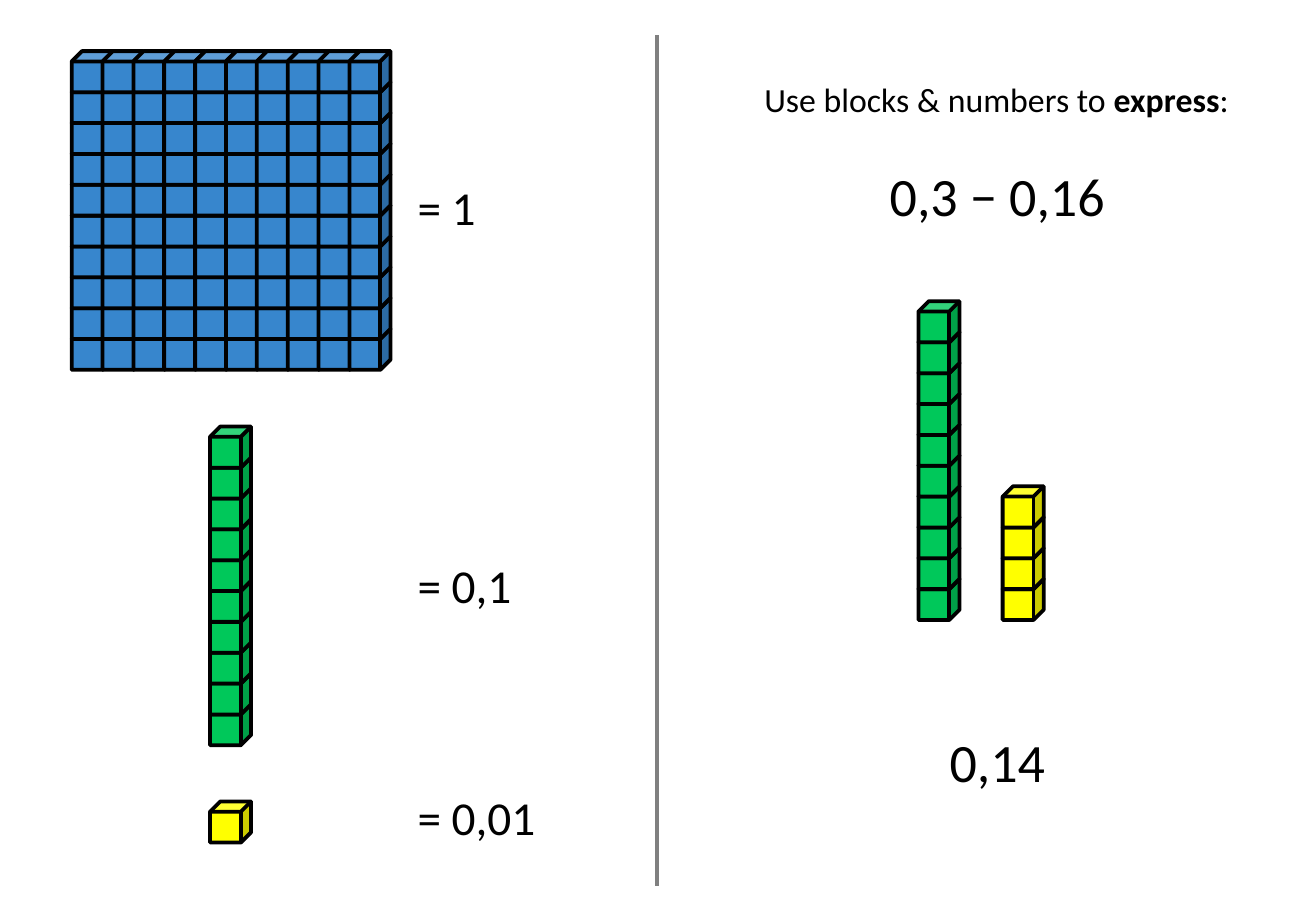
from pptx import Presentation
from pptx.dml.color import RGBColor
from pptx.enum.shapes import MSO_CONNECTOR, MSO_SHAPE
from pptx.enum.text import MSO_ANCHOR, MSO_AUTO_SIZE, PP_ALIGN
from pptx.oxml.ns import qn
from pptx.util import Cm, Pt
from lxml.etree import SubElement

COLOURS = {
    "one": "3786CD",
    "tenth": "00C85A",
    "hundredth": "FFFF00",
    "ink": "000000",
    "divider": "808080",
}
CUBE = 0.86
FACE = CUBE * 0.75  # the front face of a cube, and so the step between cubes
ROD_LEFT, ROD_TOP = 19.2, 6.3
LABEL_LEFT = 8.48


def colour(name):
    return RGBColor.from_string(COLOURS[name])


def write(box, *spans, place, size, align=PP_ALIGN.LEFT):
    """Place a text box and fill it with (text, bold) spans."""
    box.left, box.top, box.width, box.height = map(Cm, place)
    frame = box.text_frame
    frame.word_wrap = False
    frame.auto_size = MSO_AUTO_SIZE.SHAPE_TO_FIT_TEXT
    frame.vertical_anchor = MSO_ANCHOR.TOP
    para = frame.paragraphs[0]
    para.alignment = align
    for text, bold in spans:
        span = para.add_run()
        span.text = text
        span.font.name = "Calibri"
        span.font.size = Pt(size)
        span.font.bold = bold
        span.font.color.rgb = colour("ink")


deck = Presentation()
deck.slide_width, deck.slide_height = Cm(27.51), Cm(19.05)
page = deck.slides.add_slide(deck.slide_layouts[5])

write(page.shapes.title, ("Use blocks & numbers to ", False), ("express", True), (":", False),
      place=(15.7, 1.52, 10.26, 1.12), size=20, align=PP_ALIGN.CENTER)

# Blocks: value, left, top, columns, rows
blocks = [
    ("one", 1.5, 1.07, 10, 10),
    ("tenth", 4.39, 8.92, 1, 10),
    ("hundredth", 4.39, 16.76, 1, 1),
    ("tenth", ROD_LEFT, ROD_TOP, 1, 10),
    ("hundredth", 20.96, ROD_TOP + 6 * FACE, 1, 4),
]
for value, left, top, columns, rows in blocks:
    single = columns * rows == 1
    shapes = page.shapes if single else page.shapes.add_group_shape().shapes
    # Left to right and bottom to top, so that each cube covers the last one's hidden sides
    for column in range(columns):
        for row in reversed(range(rows)):
            cube = shapes.add_shape(MSO_SHAPE.CUBE, Cm(left + column * FACE),
                                    Cm(top + row * FACE), Cm(CUBE), Cm(CUBE))
            cube.shadow.inherit = False
            cube.fill.solid()
            cube.fill.fore_color.rgb = colour(value)
            cube.line.color.rgb = colour("ink")
            cube.line.width = Pt(2.25)

# Values of the blocks, then the task and its answer
texts = [
    ("= 1", (LABEL_LEFT, 3.61, 1.75, 1.45), 28, PP_ALIGN.LEFT),
    ("= 0,1", (LABEL_LEFT, 11.51, 2.51, 1.45), 28, PP_ALIGN.LEFT),
    ("= 0,01", (LABEL_LEFT, 16.36, 3.02, 1.45), 28, PP_ALIGN.LEFT),
    ("0,3 − 0,16", (18.31, 3.28, 5.08, 1.63), 32, PP_ALIGN.CENTER),
    ("0,14", (19.58, 15.11, 2.54, 1.63), 32, PP_ALIGN.CENTER),
]
for text, place, size, align in texts:
    box = page.shapes.add_textbox(0, 0, 0, 0)
    write(box, (text, False), place=place, size=size, align=align)

divider = page.shapes.add_connector(MSO_CONNECTOR.STRAIGHT, Cm(13.74), Cm(0.74), Cm(13.74), Cm(18.52))
divider.line.color.rgb = colour("divider")
divider.line.width = Pt(2.25)
SubElement(divider._element.spPr, qn("a:effectLst"))

deck.save("out.pptx")
